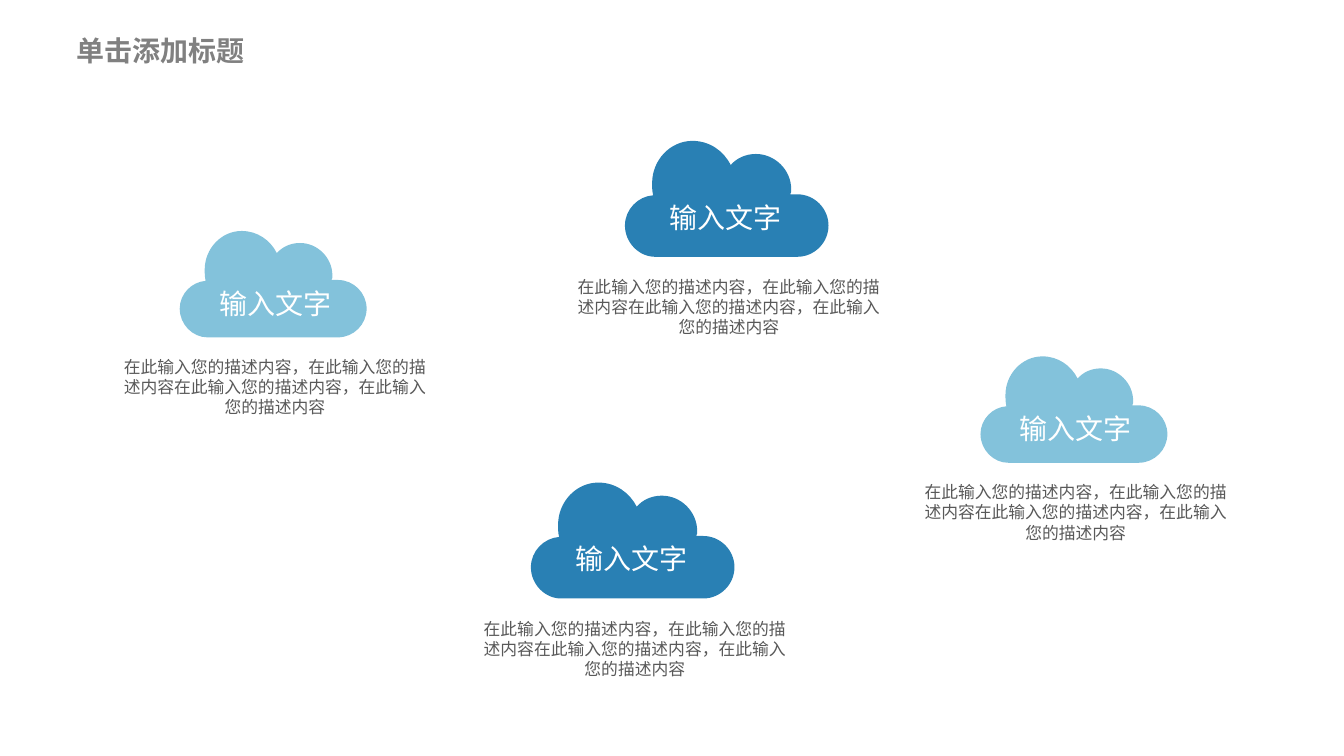
from dataclasses import dataclass

from lxml.etree import SubElement
from pptx import Presentation
from pptx.dml.color import RGBColor
from pptx.enum.text import MSO_ANCHOR as Anchor, MSO_AUTO_SIZE as AutoSize, PP_ALIGN as Align
from pptx.oxml.ns import qn
from pptx.util import Cm, Pt


@dataclass(frozen=True)
class Theme:
    font: str = "Noto Sans CJK SC"
    title: RGBColor = RGBColor(0x80, 0x80, 0x80)
    body: RGBColor = RGBColor(0x59, 0x59, 0x59)
    white: RGBColor = RGBColor(0xFF, 0xFF, 0xFF)
    light: RGBColor = RGBColor(0x83, 0xC2, 0xDB)
    dark: RGBColor = RGBColor(0x29, 0x80, 0xB4)
    large: Pt = Pt(20)
    small: Pt = Pt(12)


@dataclass(frozen=True)
class CloudStyle:
    color: RGBColor
    width: float
    label_offset: tuple
    description_offset: tuple


THEME = Theme()
LIGHT = CloudStyle(THEME.light, 4.71, (0.65, 0.81), (-1.84, 3.04))
DARK = CloudStyle(THEME.dark, 5.13, (0.79, 0.9), (-1.62, 3.3))

CLOUDS = [
    (LIGHT, 4.53, 5.82),
    (DARK, 13.38, 12.16),
    (DARK, 15.75, 3.55),
    (LIGHT, 24.71, 8.98),
]
LABEL = "输入文字"
DESCRIPTION = "在此输入您的描述内容，在此输入您的描述内容在此输入您的描述内容，在此输入您的描述内容"

OUTLINE_WIDTH = 202
OUTLINE_START = (28, 54)
OUTLINE_CURVES = [
    ((27, 50), (27, 46), (27, 42)),
    ((27, 19), (45, 0), (67, 0)),
    ((84, 0), (98, 10), (105, 24)),
    ((111, 17), (120, 13), (130, 13)),
    ((149, 13), (165, 29), (165, 48)),
    ((165, 50), (165, 52), (164, 53)),
    ((171, 53), (171, 53), (171, 53)),
    ((188, 53), (202, 67), (202, 84)),
    ((202, 101), (188, 115), (171, 115)),
    ((30, 115), (30, 115), (30, 115)),
    ((14, 115), (0, 101), (0, 84)),
    ((0, 68), (13, 55), OUTLINE_START),
]


def bend_segments(cloud, unit):
    segments = list(cloud._element.iter(qn("a:lnTo")))
    for segment, curve in zip(segments, OUTLINE_CURVES):
        segment.tag = qn("a:cubicBezTo")
        segment.remove(segment[0])
        for x, y in curve:
            point = SubElement(segment, qn("a:pt"))
            point.set("x", str(Cm(x * unit)))
            point.set("y", str(Cm(y * unit)))


def add_cloud(page, style, left, top):
    unit = style.width / OUTLINE_WIDTH
    knots = [OUTLINE_START] + [curve[-1] for curve in OUTLINE_CURVES]
    start, *rest = [(Cm(left + x * unit), Cm(top + y * unit)) for x, y in knots]
    builder = page.shapes.build_freeform(*start)
    builder.add_line_segments(rest, close=True)
    cloud = builder.convert_to_shape()
    bend_segments(cloud, unit)
    cloud.shadow.inherit = False
    cloud.fill.solid()
    cloud.fill.fore_color.rgb = style.color
    cloud.line.fill.background()


def add_text(page, text, left, top, width, height, size, color, align=Align.LEFT, bold=False):
    box = page.shapes.add_textbox(Cm(left), Cm(top), Cm(width), Cm(height))
    frame = box.text_frame
    frame.word_wrap = True
    frame.auto_size = AutoSize.SHAPE_TO_FIT_TEXT
    para = frame.paragraphs[0]
    para.text = text
    para.alignment = align
    font = para.font
    font.size = size
    font.bold = bold
    font.color.rgb = color
    font.name = THEME.font
    defaults = para._p.get_or_add_pPr().find(qn("a:defRPr"))
    SubElement(defaults, qn("a:ea")).set("typeface", THEME.font)
    return frame


def add_label(page, left, top):
    frame = add_text(page, LABEL, left, top, 3.51, 2.03, THEME.large, THEME.white, Align.CENTER)
    frame.word_wrap = False
    frame.auto_size = AutoSize.NONE
    frame.vertical_anchor = Anchor.MIDDLE
    frame.margin_left = frame.margin_right = Cm(0.18)
    frame.margin_top = frame.margin_bottom = Cm(0.1)


def add_cloud_group(page, style, left, top):
    add_cloud(page, style, left, top)
    label_x, label_y = style.label_offset
    add_label(page, left + label_x, top + label_y)
    text_x, text_y = style.description_offset
    add_text(page, DESCRIPTION, left + text_x, top + text_y, 8.48, 1.8,
             THEME.small, THEME.body, Align.CENTER)


def main():
    deck = Presentation()
    deck.slide_width, deck.slide_height = Cm(33.87), Cm(19.05)
    page = deck.slides.add_slide(deck.slide_layouts[6])
    add_text(page, "单击添加标题", 1.68, 0.72, 8.38, 1.17, THEME.large, THEME.title, bold=True)
    for style, left, top in CLOUDS:
        add_cloud_group(page, style, left, top)
    deck.save("out.pptx")


if __name__ == "__main__":
    main()
